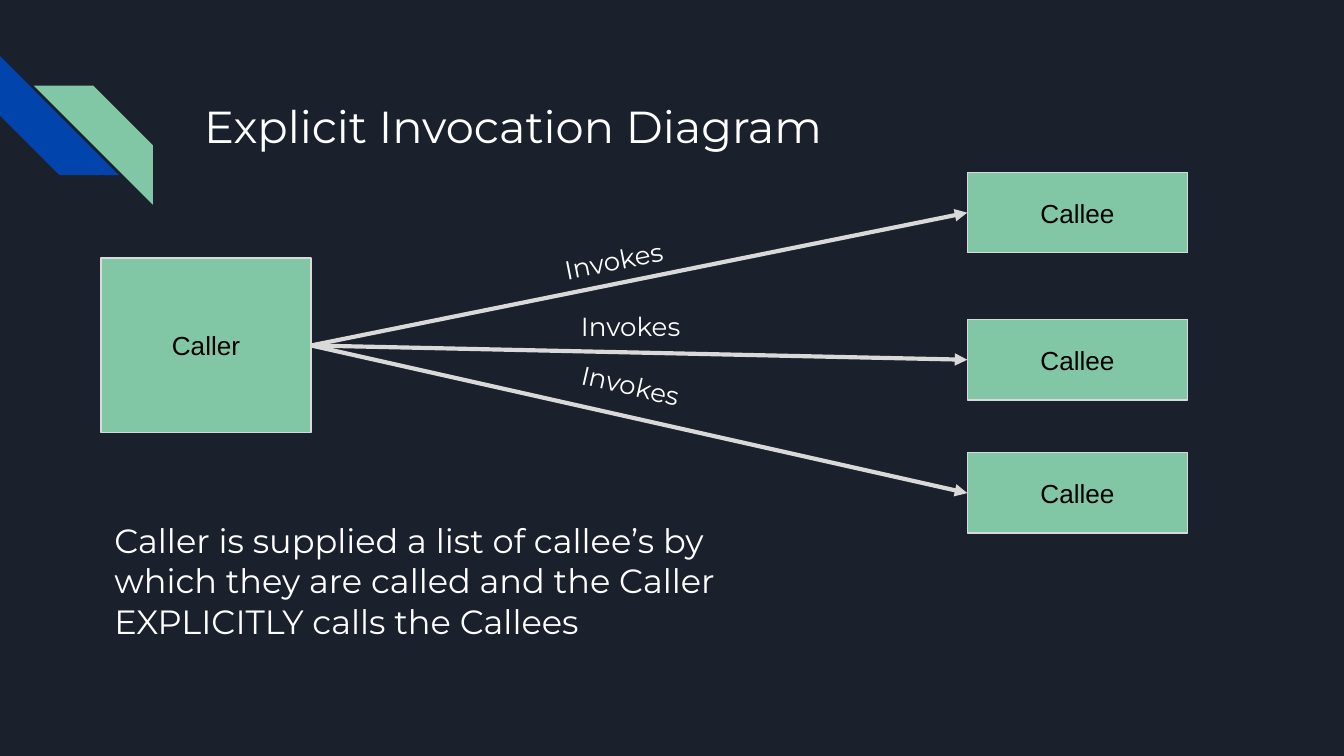
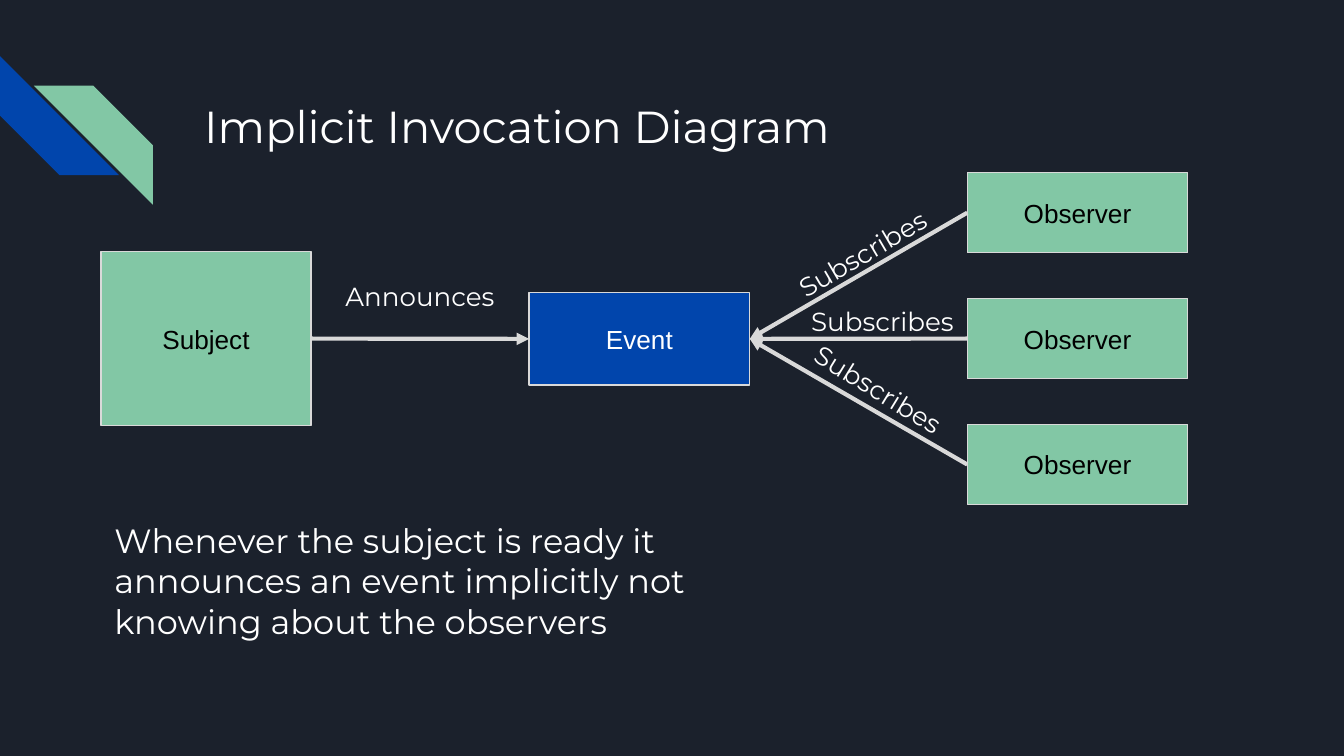
import lxml.etree
import pptx
import pptx.dml.color
import pptx.enum.shapes
import pptx.enum.text
import pptx.oxml.ns
import pptx.util

Cm = pptx.util.Cm
ALIGN = pptx.enum.text.PP_ALIGN
ANCHOR = pptx.enum.text.MSO_ANCHOR
SHAPE = pptx.enum.shapes.MSO_SHAPE
qn = pptx.oxml.ns.qn

NAVY, BLUE, GREEN = "1B212C", "0145AC", "82C7A5"
GREY, WHITE, BLACK = "D9D9D9", "FFFFFF", "000000"
RIGHT_SIDE, LEFT_SIDE = 3, 1
SIDE_LEFT, SIDE_WIDTH, SIDE_HEIGHT = 1.91, 3.97, 3.3
NODE_LEFT, NODE_WIDTH, NODE_HEIGHT = 18.28, 4.17, 1.52
FIRST_NODE_TOP = 3.26


def paint(fill, color):
    """Make a shape, line, font or background fill solid in a hex colour."""
    fill.solid()
    fill.fore_color.rgb = pptx.dml.color.RGBColor.from_string(color)


def write(shape, text, size=14, font="Montserrat", color=WHITE,
          align=ALIGN.CENTER, anchor=ANCHOR.MIDDLE):
    frame = shape.text_frame
    frame.word_wrap = True
    frame.auto_size = pptx.enum.text.MSO_AUTO_SIZE.NONE
    frame.vertical_anchor = anchor
    frame.margin_left = frame.margin_right = Cm(0.25)
    frame.margin_top = frame.margin_bottom = Cm(0.25)
    para = frame.paragraphs[0]
    para.alignment = align
    para.space_before = pptx.util.Pt(0)
    span = para.add_run()
    span.text = text
    span.font.size = pptx.util.Pt(size)
    span.font.name = font
    paint(span.font.fill, color)


# Boxes: text, left, top, width, height, fill, text colour
# Arrows: positions of the start and end boxes
# Labels: text, left, top, rotation
diagrams = [
    {
        "title": "Explicit Invocation Diagram",
        "note": "Caller is supplied a list of callee’s by which they are called "
                "and the Caller EXPLICITLY calls the Callees",
        "boxes": [("Caller", SIDE_LEFT, 4.88, SIDE_WIDTH, SIDE_HEIGHT, GREEN, BLACK)]
                 + [("Callee", NODE_LEFT, top, NODE_WIDTH, NODE_HEIGHT, GREEN, BLACK)
                    for top in (FIRST_NODE_TOP, 6.04, 8.56)],
        "arrows": [(0, 1), (0, 2), (0, 3)],
        "labels": [
            ("Invokes", 9.68, 4.27, 348.7),
            ("Invokes", 10, 5.51, 0),
            ("Invokes", 10, 6.63, 13),
        ],
    },
    {
        "title": "Implicit Invocation Diagram",
        "note": "Whenever the subject is ready it announces an event implicitly "
                "not knowing about the observers",
        "boxes": [("Subject", SIDE_LEFT, 4.75, SIDE_WIDTH, SIDE_HEIGHT, GREEN, BLACK),
                  ("Event", 10, 5.53, NODE_WIDTH, 1.75, BLUE, WHITE)]
                 + [("Observer", NODE_LEFT, FIRST_NODE_TOP + 2.38 * row,
                     NODE_WIDTH, NODE_HEIGHT, GREEN, BLACK) for row in range(3)],
        "arrows": [(0, 1), (2, 1), (3, 1), (4, 1)],
        "labels": [
            ("Announces", 6.02, 4.95, 0),
            ("Subscribes", 14.38, 4.14, 329.6),
            ("Subscribes", 14.76, 5.41, 0),
            ("Subscribes", 14.68, 6.71, 31.5),
        ],
    },
]

deck = pptx.Presentation()
deck.slide_width = Cm(25.4)
deck.slide_height = Cm(14.29)
paint(deck.slide_master.background.fill, NAVY)

for diagram in diagrams:
    page = deck.slides.add_slide(deck.slide_layouts[1])

    for left, top, rotation, color in ((0, 1.06, 270, BLUE), (0.64, 1.62, 90, GREEN)):
        stripe = page.shapes.add_shape(
            SHAPE.DIAGONAL_STRIPE, Cm(left), Cm(top), Cm(2.25), Cm(2.25))
        stripe.rotation = rotation
        stripe.shadow.inherit = False
        stripe.line.fill.background()
        paint(stripe.fill, color)

    title = page.shapes.title
    title.left, title.top, title.width, title.height = Cm(3.61), Cm(1.1), Cm(19.55), Cm(2.54)
    write(title, diagram["title"], size=24, align=ALIGN.LEFT)

    note = page.placeholders[1]
    note.left, note.top, note.width, note.height = Cm(1.91), Cm(9.58), Cm(12.73), Cm(2.54)
    write(note, diagram["note"], size=18, align=ALIGN.LEFT, anchor=ANCHOR.TOP)
    properties = note.text_frame.paragraphs[0]._p.get_or_add_pPr()
    properties.set("marL", "0")
    properties.set("indent", "0")
    lxml.etree.SubElement(properties, qn("a:buNone"))

    boxes = []
    for text, left, top, width, height, fill, color in diagram["boxes"]:
        box = page.shapes.add_shape(
            SHAPE.RECTANGLE, Cm(left), Cm(top), Cm(width), Cm(height))
        box.shadow.inherit = False
        paint(box.fill, fill)
        paint(box.line.fill, GREY)
        box.line.width = pptx.util.Pt(0.75)
        write(box, text, font="Arial", color=color)
        boxes.append(box)

    for start, end in diagram["arrows"]:
        rightward = boxes[start].left < boxes[end].left
        arrow = page.shapes.add_connector(
            pptx.enum.shapes.MSO_CONNECTOR.STRAIGHT, 0, 0, 0, 0)
        arrow.begin_connect(boxes[start], RIGHT_SIDE if rightward else LEFT_SIDE)
        arrow.end_connect(boxes[end], LEFT_SIDE if rightward else RIGHT_SIDE)
        paint(arrow.line.fill, GREY)
        arrow.line.width = pptx.util.Pt(2.25)
        outline = arrow.element.spPr.find(qn("a:ln"))
        lxml.etree.SubElement(outline, qn("a:tailEnd"), type="triangle")
        lxml.etree.SubElement(arrow.element.spPr, qn("a:effectLst"))

    for text, left, top, rotation in diagram["labels"]:
        label = page.shapes.add_textbox(Cm(left), Cm(top), Cm(3.84), Cm(1.3))
        label.rotation = rotation
        write(label, text)

deck.save("out.pptx")
